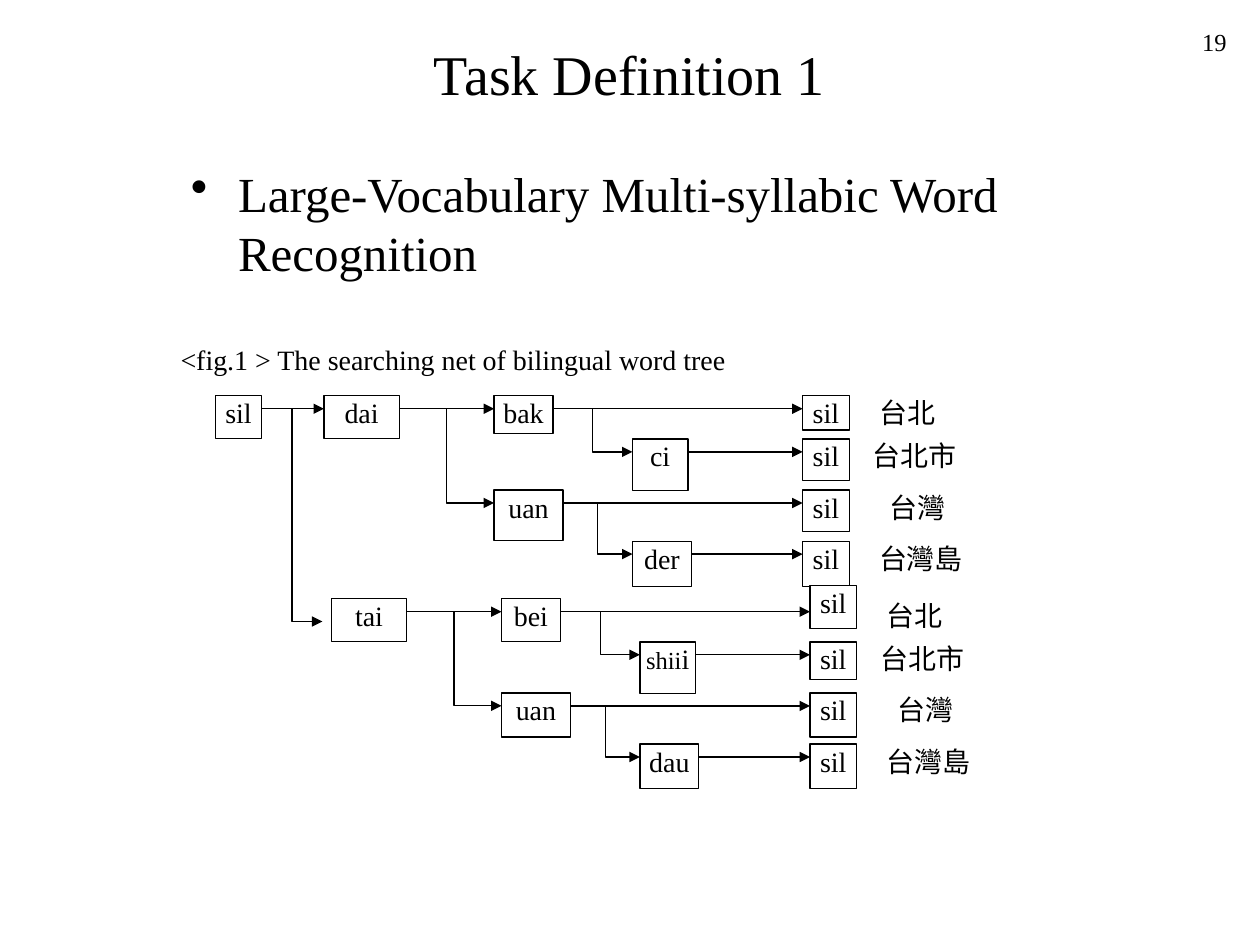
import pptx
import pptx.util
import pptx.dml.color
import pptx.enum.shapes
import pptx.enum.text
import pptx.oxml
import pptx.oxml.ns
from pptx.util import Cm

FONT = "Times New Roman"
BLACK, WHITE = "000000", "FFFFFF"
ALIGN = pptx.enum.text.PP_ALIGN
ANCHOR = pptx.enum.text.MSO_ANCHOR
CONNECTOR = pptx.enum.shapes.MSO_CONNECTOR

# Tree geometry in centimetres, for the upper subtree
ROWS = [0, 0.87, 1.9, 2.93]      # row tops below the subtree top
PORT = 0.26                      # arrows meet boxes this far below the row top
ROOT_LEFT, SYLLABLE_1, SYLLABLE_2, SYLLABLE_3, END_LEFT = 4.34, 6.53, 9.96, 12.75, 16.18
SIL_WIDTH, FIRST_WIDTH = 0.94, 1.52
WORDS = [("台北", 17.73, 1.55, ALIGN.LEFT), ("台北市", 17.12, 2.64, ALIGN.CENTER),
         ("台灣", 17.73, 1.55, ALIGN.CENTER), ("台灣島", 17.42, 2.29, ALIGN.CENTER)]
SYLLABLE_COLUMNS = [(SYLLABLE_2, 1.19), (SYLLABLE_3, 1.12), (SYLLABLE_2, 1.39), (SYLLABLE_3, 1.19)]

# Offset, top, first syllable, then (syllable, height), end heights, word heights per row
UPPER = (0, 7.98, "dai", [("bak", 0.76), ("ci", 1.04), ("uan", 1.02), ("der", 0.91)],
         [0.69, 0.84, 0.84, 0.91], [0.86, 1.04, 1.02, 0.91])
LOWER = (0.15, 12.07, "tai", [("bei", 0.86), ("shiii", 1.04), ("uan", 0.89), ("dau", 0.89)],
         [0.86, 0.76, 0.89, 0.89], [0.86, 0.91, 0.89, 0.89])


def colour(hex_value):
    return pptx.dml.color.RGBColor.from_string(hex_value)


def format_text(frame, size, align, anchor=ANCHOR.TOP):
    frame.word_wrap = True
    frame.auto_size = pptx.enum.text.MSO_AUTO_SIZE.NONE
    frame.vertical_anchor = anchor
    for paragraph in frame.paragraphs:
        paragraph.alignment = align
        for run in paragraph.runs:
            run.font.name = FONT
            run.font.size = pptx.util.Pt(size)
            run.font.color.rgb = colour(BLACK)


def add_label(slide, text, left, top, width, height, size, align=ALIGN.LEFT):
    label = slide.shapes.add_textbox(Cm(left), Cm(top), Cm(width), Cm(height))
    label.text_frame.text = text
    format_text(label.text_frame, size, align)
    return label.text_frame.paragraphs[0]


def add_bullet(paragraph, indent):
    paragraph.space_before = pptx.util.Pt(7)
    properties = paragraph._p.get_or_add_pPr()
    properties.set("marL", str(Cm(indent)))
    properties.set("indent", str(-Cm(indent)))
    bullet = pptx.oxml.parse_xml(
        f'<a:buChar {pptx.oxml.ns.nsdecls("a")} char="•"/>')
    properties.append(bullet)


def add_box(tree, text, left, top, width, height, outlined=True, align=ALIGN.CENTER):
    box = tree.add_shape(pptx.enum.shapes.MSO_SHAPE.RECTANGLE,
                         Cm(left), Cm(top), Cm(width), Cm(height))
    box.shadow.inherit = False
    box.fill.solid()
    box.fill.fore_color.rgb = colour(WHITE)
    if outlined:
        box.line.color.rgb = colour(BLACK)
        box.line.width = pptx.util.Pt(0.75)
    else:
        box.line.fill.background()
    frame = box.text_frame
    frame.margin_left = frame.margin_right = frame.margin_top = frame.margin_bottom = 0
    frame.text = text
    format_text(frame, 16, align)
    return box


def add_arrow(tree, start_x, start_y, end_x, end_y):
    kind = CONNECTOR.STRAIGHT if start_y == end_y else CONNECTOR.ELBOW
    arrow = tree.add_connector(kind, Cm(start_x), Cm(start_y), Cm(end_x), Cm(end_y))
    arrow.line.color.rgb = colour(BLACK)
    arrow.line.width = pptx.util.Pt(0.75)
    namespace = pptx.oxml.ns.nsdecls("a")
    arrow.line._get_or_add_ln().append(
        pptx.oxml.parse_xml(f'<a:tailEnd {namespace} type="triangle"/>'))
    arrow._element.spPr.append(pptx.oxml.parse_xml(f"<a:effectLst {namespace}/>"))


def shrink_long_syllable(box):
    """Set all but the last letter smaller so that it fits its box."""
    paragraph = box.text_frame.paragraphs[0]
    text = paragraph.text
    paragraph.runs[0].text = text[:-1]
    paragraph.add_run().text = text[-1]
    format_text(box.text_frame, 16, ALIGN.CENTER)
    paragraph.runs[0].font.size = pptx.util.Pt(14)


def add_subtree(tree, offset, top, first, syllables, end_heights, word_heights):
    add_box(tree, first, SYLLABLE_1 + offset, top, FIRST_WIDTH, 0.86)
    first_right = SYLLABLE_1 + FIRST_WIDTH + offset
    end_left = END_LEFT + offset
    parent_right = parent_y = None
    for row, (syllable, height) in enumerate(syllables):
        row_top = top + ROWS[row]
        port_y = row_top + PORT
        column, width = SYLLABLE_COLUMNS[row]
        left = column + offset

        # Syllable, word and closing silence
        box = add_box(tree, syllable, left, row_top, width, height)
        if len(syllable) > 3:
            shrink_long_syllable(box)
        word, word_left, word_width, align = WORDS[row]
        add_box(tree, word, word_left + offset, row_top, word_width,
                word_heights[row], outlined=False, align=align)
        # The first silence of the lower subtree sits directly under the upper one
        lift = 0.26 if offset and row == 0 else 0
        add_box(tree, "sil", end_left, row_top - lift, SIL_WIDTH, end_heights[row])

        # Arrows from the parent and on to the silence
        if column == SYLLABLE_2:
            add_arrow(tree, first_right, top + PORT, left, port_y)
            parent_right, parent_y = left + width, port_y
        else:
            add_arrow(tree, parent_right, parent_y, left, port_y)
        add_arrow(tree, left + width, port_y, end_left, port_y)


def main():
    deck = pptx.Presentation()
    deck.slide_width, deck.slide_height = Cm(25.4), Cm(19.05)
    slide = deck.slides.add_slide(deck.slide_layouts[5])

    # Title, page number, bullet and caption
    title = slide.shapes.title
    title.left, title.top, title.width, title.height = Cm(0.42), Cm(0.42), Cm(24.55), Cm(2.12)
    title.text_frame.text = "Task Definition 1"
    format_text(title.text_frame, 32, ALIGN.CENTER, ANCHOR.MIDDLE)
    add_label(slide, "19", 19.69, 0.42, 5.29, 1.27, 14, ALIGN.RIGHT)
    topic = add_label(slide, "Large-Vocabulary Multi-syllabic Word Recognition",
                      3.6, 3.18, 17.15, 2.75, 28)
    add_bullet(topic, 0.95)
    add_label(slide, "<fig.1 > The searching net of bilingual word tree",
              3.39, 6.78, 15.66, 1.48, 16)

    # Word tree
    tree = slide.shapes.add_group_shape().shapes
    root_top = UPPER[1]
    add_box(tree, "sil", ROOT_LEFT, root_top, SIL_WIDTH, 0.86)
    for subtree in (UPPER, LOWER):
        add_subtree(tree, *subtree)
    root_right, root_y = ROOT_LEFT + SIL_WIDTH, root_top + PORT
    add_arrow(tree, root_right, root_y, SYLLABLE_1, root_y)
    add_arrow(tree, root_right, root_y, 6.5, 12.53)

    deck.save("out.pptx")


if __name__ == "__main__":
    main()
